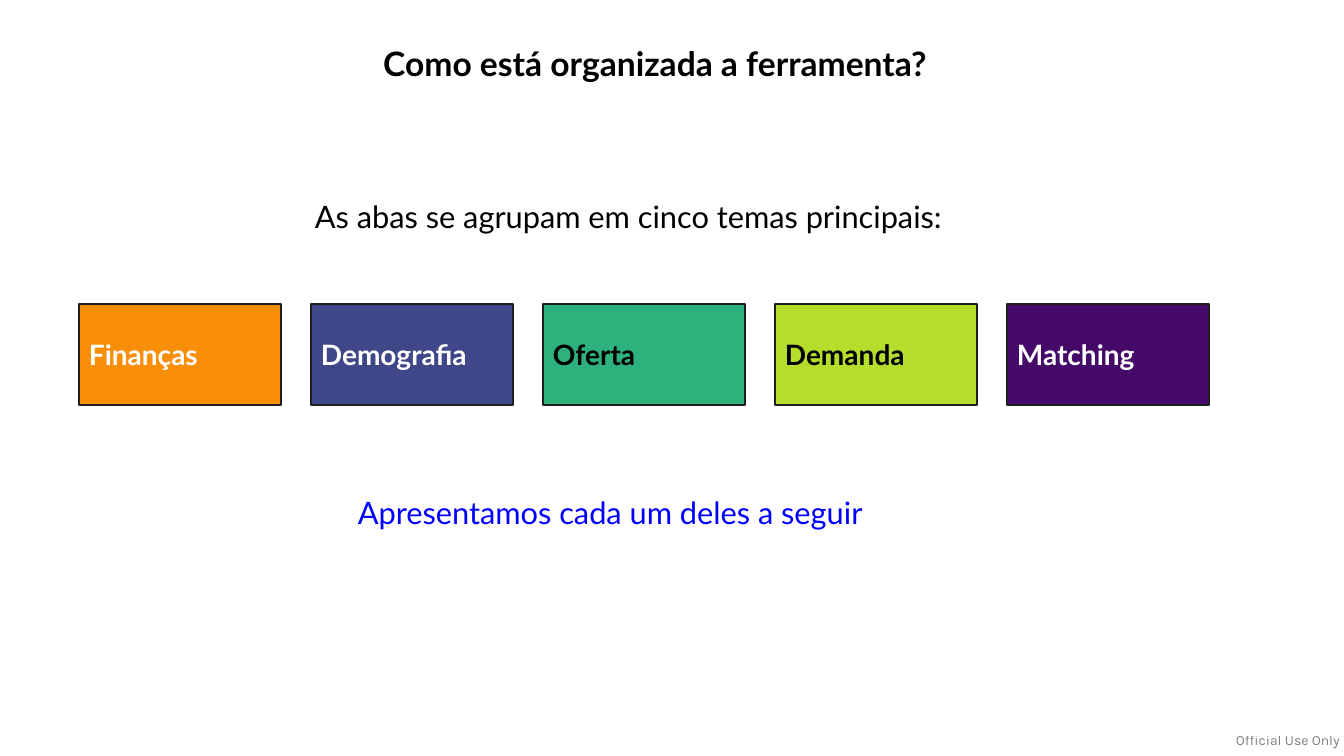
import dataclasses

import lxml.etree
import pptx
import pptx.dml.color
import pptx.enum.shapes
import pptx.enum.text
import pptx.oxml.ns
import pptx.util

ANCHOR = pptx.enum.text.MSO_ANCHOR
ALIGN = pptx.enum.text.PP_ALIGN
EMU_PER_PX = 914400 / 100.8


@dataclasses.dataclass(frozen=True)
class Theme:
    font: str = "Lato"
    footer_font: str = "Karla"
    title_size: int = 24
    body_size: int = 22
    tab_size: int = 20
    footer_size: int = 10
    black: str = "000000"
    white: str = "FFFFFF"
    outline: str = "1E1E1E"
    blue: str = "0000FF"
    orange: str = "F98E09"
    indigo: str = "3F4788"
    green: str = "2DB27D"
    lime: str = "B4DD2C"
    purple: str = "450A69"


def px(length):
    return pptx.util.Emu(round(length * EMU_PER_PX))


def rgb(color):
    return pptx.dml.color.RGBColor.from_string(color)


def write(frame, text, *, size, color, font, bold=False, align=ALIGN.LEFT,
          anchor=ANCHOR.TOP, wrap=True, line_spacing=None, opacity=None):
    frame.word_wrap = wrap
    frame.vertical_anchor = anchor
    para = frame.paragraphs[0]
    para.alignment = align
    para.line_spacing = line_spacing
    span = para.add_run()
    span.text = text
    span.font.name = font
    span.font.size = pptx.util.Pt(size)
    span.font.bold = bold
    span.font.color.rgb = rgb(color)
    if opacity is not None:
        qn = pptx.oxml.ns.qn
        fill_color = span.font.fill._xPr.find(qn("a:solidFill")).find(qn("a:srgbClr"))
        lxml.etree.SubElement(fill_color, qn("a:alpha")).set("val", str(opacity * 1000))


class SlideBuilder:
    def __init__(self, page, theme):
        self.page = page
        self.theme = theme

    def title(self, text, left, top, width, height):
        box = self.page.shapes.title
        box.left, box.top, box.width, box.height = map(px, (left, top, width, height))
        write(box.text_frame, text, size=self.theme.title_size, color=self.theme.black,
              font=self.theme.font, bold=True, align=ALIGN.CENTER, line_spacing=0.9)

    def label(self, text, left, top, width, height, color):
        box = self.page.shapes.add_textbox(*map(px, (left, top, width, height)))
        write(box.text_frame, text, size=self.theme.body_size, color=color,
              font=self.theme.font)

    def tab(self, text, left, top, width, height, fill, color):
        box = self.page.shapes.add_shape(
            pptx.enum.shapes.MSO_SHAPE.RECTANGLE, *map(px, (left, top, width, height)))
        box.shadow.inherit = False
        box.fill.solid()
        box.fill.fore_color.rgb = rgb(fill)
        box.line.color.rgb = rgb(self.theme.outline)
        box.line.width = pptx.util.Pt(1.2)
        write(box.text_frame, text, size=self.theme.tab_size, color=color,
              font=self.theme.font, bold=True, anchor=ANCHOR.MIDDLE)

    def footer(self, text, left, top, width, height):
        box = self.page.shapes.add_textbox(*map(px, (left, top, width, height)))
        frame = box.text_frame
        frame.margin_left = frame.margin_right = frame.margin_top = frame.margin_bottom = 0
        write(frame, text, size=self.theme.footer_size, color=self.theme.black,
              font=self.theme.footer_font, wrap=False, opacity=50)


def main():
    theme = Theme()
    deck = pptx.Presentation()
    deck.slide_width, deck.slide_height = px(1344), px(756)
    builder = SlideBuilder(deck.slides.add_slide(deck.slide_layouts[5]), theme)

    builder.footer("Official Use Only", 1236, 732, 104, 17)
    builder.title("Como está organizada a ferramenta?", 68, 42, 1174, 46)
    builder.label("As abas se agrupam em cinco temas principais:", 305, 193, 907, 50,
                  theme.black)

    tabs = [
        ("Finanças", theme.orange, theme.white),
        ("Demografia", theme.indigo, theme.white),
        ("Oferta", theme.green, theme.black),
        ("Demanda", theme.lime, theme.black),
        ("Matching", theme.purple, theme.white),
    ]
    first_left, pitch = 79, 232
    for index, (name, fill, color) in enumerate(tabs):
        builder.tab(name, first_left + index * pitch, 304, 202, 101, fill, color)

    builder.label("Apresentamos cada um deles a seguir", 348, 489, 574, 47, theme.blue)
    deck.save("out.pptx")


if __name__ == "__main__":
    main()
